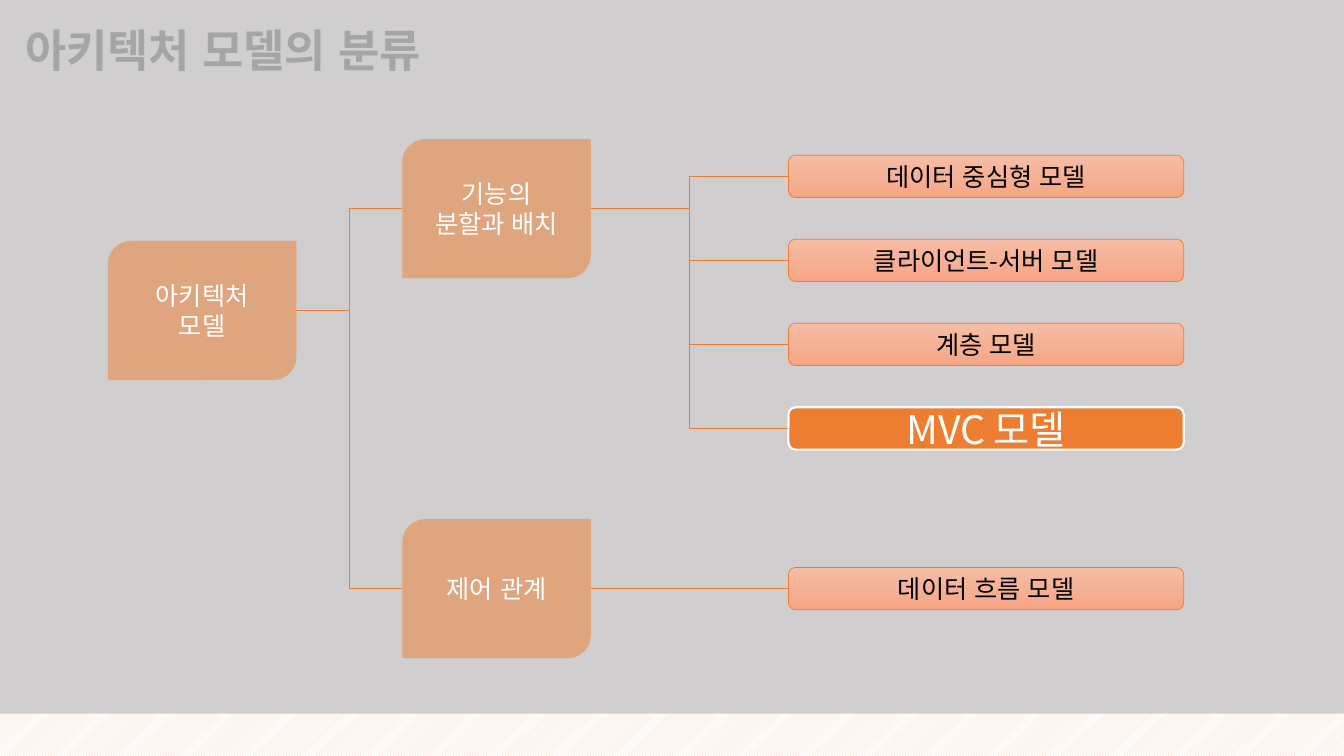
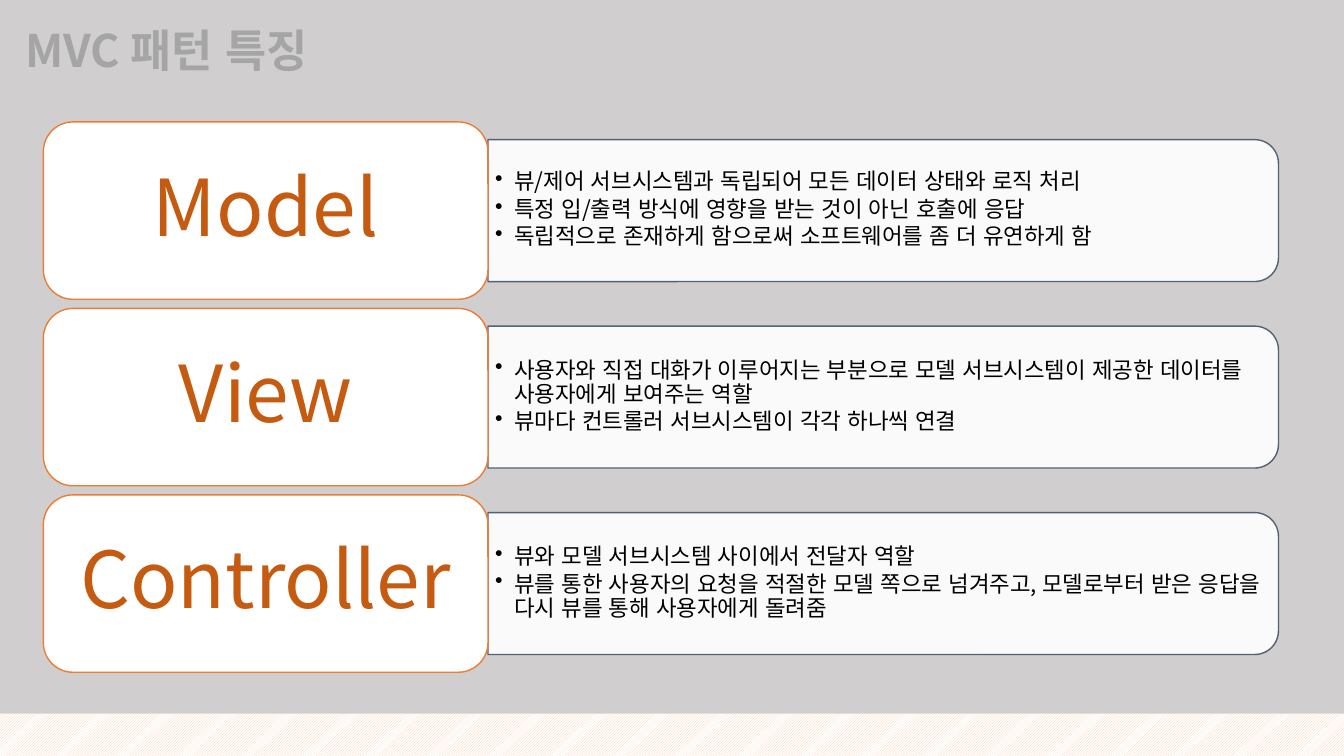
from copy import deepcopy
from dataclasses import dataclass

from lxml import etree
from pptx import Presentation
from pptx import util as u
from pptx.dml.color import RGBColor
from pptx.enum import dml, lang, shapes, text
from pptx.oxml import ns


@dataclass(frozen=True)
class Theme:
    """Colours, font and type sizes shared by the slides."""
    font: str = "Noto Sans CJK KR"
    backdrop: str = "D0CECE"
    stripe: str = "F8CBAD"
    white: str = "FFFFFF"
    black: str = "000000"
    title: str = "A5A5A5"
    accent: str = "ED7D31"
    accent_dark: str = "C55A11"
    panel_line: str = "44546A"
    leaf_stops: tuple = ((0, "F7BDA5"), (0.5, "F5B196"), (1, "F8A582"))
    title_size: float = 32
    node_size: float = 18
    focus_size: float = 28
    bullet_size: float = 16
    label_size: float = 56


@dataclass(frozen=True)
class Box:
    """A rectangle in inches."""
    left: float
    top: float
    width: float
    height: float

    @property
    def right(self):
        """Return the right edge."""
        return self.left + self.width

    @property
    def middle(self):
        """Return the vertical centre."""
        return self.top + self.height / 2

    def lengths(self):
        """Return the four measures as lengths."""
        return [u.Inches(n) for n in (self.left, self.top, self.width, self.height)]


THEME = Theme()
SLIDE = Box(0, 0, 13.33, 7.5)
SHAPE = shapes.MSO_SHAPE
CENTER = text.PP_ALIGN.CENTER


def child(parent, tag, **attributes):
    """Append a drawing element to its parent."""
    return etree.SubElement(parent, ns.qn(tag), attributes)


def paint(fill, color, opacity=100):
    """Apply a solid colour, optionally transparent."""
    fill.solid()
    fill.fore_color.rgb = RGBColor.from_string(color)
    if opacity < 100:
        solid = fill._xPr.find(ns.qn("a:solidFill"))
        child(solid[0], "a:alpha", val=str(opacity * 1000))


def write(frame, lines, size, color, bold=False, align=None, insets=(0.1, 0.05),
          anchor=text.MSO_ANCHOR.MIDDLE, spacing=None, after=None, bullet=None):
    """Fill a text frame with one paragraph per line."""
    frame.word_wrap = True
    frame.vertical_anchor = anchor
    frame.margin_left = frame.margin_right = u.Inches(insets[0])
    frame.margin_top = frame.margin_bottom = u.Inches(insets[1])
    for index, line in enumerate(lines):
        para = frame.add_paragraph() if index else frame.paragraphs[0]
        para.alignment = align
        if spacing:
            para.line_spacing = spacing
        if after:
            para.space_after = u.Pt(after)
        if bullet:
            para.level = 1
            layout = para._p.get_or_add_pPr()
            layout.set("marL", str(u.Inches(0.19)))
            layout.set("indent", str(u.Inches(-0.19)))
            child(layout, "a:buChar", char=bullet)
        span = para.add_run()
        span.text = line
        span.font.size = u.Pt(size)
        span.font.bold = bold
        span.font.name = THEME.font
        span.font.language_id = lang.MSO_LANGUAGE_ID.KOREAN
        span.font.color.rgb = RGBColor.from_string(color)
        child(span._r.get_or_add_rPr(), "a:ea", typeface=THEME.font)


def add_block(page, kind, box, fill=None, opacity=100, line=None, weight=1):
    """Add a flat preset shape."""
    shape = page.shapes.add_shape(kind, *box.lengths())
    shape.shadow.inherit = False
    if fill:
        paint(shape.fill, fill, opacity)
    if line:
        paint(shape.line.fill, line)
        shape.line.width = u.Pt(weight)
    else:
        shape.line.fill.background()
    return shape


def add_page(deck, title, title_width):
    """Add a slide with the shared background, striped band and title."""
    page = deck.slides.add_slide(deck.slide_layouts[6])
    paint(page.background.fill, THEME.backdrop)
    band = add_block(page, SHAPE.RECTANGLE, Box(0, 7.08, SLIDE.width, 0.42))
    band.fill.patterned()
    band.fill.pattern = dml.MSO_PATTERN.DARK_UPWARD_DIAGONAL
    band.fill.fore_color.rgb = RGBColor.from_string(THEME.stripe)
    band.fill.back_color.rgb = RGBColor.from_string(THEME.white)
    heading = page.shapes.add_textbox(*Box(0.15, 0.18, title_width, 0.64).lengths())
    write(heading.text_frame, [title], THEME.title_size, THEME.title, bold=True,
          anchor=text.MSO_ANCHOR.TOP)
    heading.text_frame.auto_size = text.MSO_AUTO_SIZE.SHAPE_TO_FIT_TEXT
    return page


def add_node(page, box, lines):
    """Add a translucent branch node."""
    node = add_block(page, SHAPE.ROUND_2_DIAG_RECTANGLE, box, THEME.accent, 50)
    write(node.text_frame, lines, THEME.node_size, THEME.white, align=CENTER)


def add_leaf(page, box, name, focus=False):
    """Add a model name, solid when in focus and shaded otherwise."""
    if focus:
        leaf = add_block(page, SHAPE.ROUNDED_RECTANGLE, box, THEME.accent,
                         line=THEME.white, weight=1.5)
        write(leaf.text_frame, [name], THEME.focus_size, THEME.white, align=CENTER)
        return
    leaf = add_block(page, SHAPE.ROUNDED_RECTANGLE, box, line=THEME.accent, weight=0.5)
    leaf.fill.gradient()
    leaf.fill.gradient_angle = 270
    stops = leaf._element.spPr.find(ns.qn("a:gradFill")).find(ns.qn("a:gsLst"))
    stops.insert(1, deepcopy(stops[0]))
    for stop, (position, color) in zip(leaf.fill.gradient_stops, THEME.leaf_stops):
        stop.position = position
        stop.color.rgb = RGBColor.from_string(color)
    write(leaf.text_frame, [name], THEME.node_size, THEME.black, align=CENTER)


def add_link(page, source, target):
    """Join the right side of one box to the left side of another."""
    level = abs(source.middle - target.middle) < 0.01
    kind = shapes.MSO_CONNECTOR.STRAIGHT if level else shapes.MSO_CONNECTOR.ELBOW
    ends = (source.right, source.middle, target.left, target.middle)
    link = page.shapes.add_connector(kind, *[u.Inches(n) for n in ends])
    paint(link.line.fill, THEME.accent)
    link.line.width = u.Pt(0.5)
    child(link._element.spPr, "a:effectLst")


def add_tree(page, area):
    """Draw the classification tree from left to right."""
    width, height = 1.87, 1.38
    leaf_width, leaf_height = 3.92, 0.42
    branch_left = area.left + 2.92
    leaf_left = area.right - leaf_width
    root = Box(area.left, area.top + 1.01, width, height)
    division = Box(branch_left, area.top, width, height)
    control = Box(branch_left, area.top + area.height - height, width, height)
    nodes = ((root, ["아키텍처", "모델"]),
             (division, ["기능의", "분할과 배치"]),
             (control, ["제어 관계"]))
    for box, lines in nodes:
        add_node(page, box, lines)
    for branch in (division, control):
        add_link(page, root, branch)

    names = ("데이터 중심형 모델", "클라이언트-서버 모델", "계층 모델", "MVC 모델")
    leaves = [(division, area.top + 0.16 + index * 2.5 / 3, name)
              for index, name in enumerate(names)]
    leaves.append((control, control.middle - leaf_height / 2, "데이터 흐름 모델"))
    for branch, top, name in leaves:
        box = Box(leaf_left, top, leaf_width, leaf_height)
        add_leaf(page, box, name, focus=name.startswith("MVC"))
        add_link(page, branch, box)


def add_feature(page, area, label, points):
    """Draw one labelled row with its bulleted panel."""
    label_box = Box(area.left, area.top, 4.41, area.height)
    length, depth = area.right - label_box.right, area.height * 0.8
    panel_box = Box(label_box.right + (length - depth) / 2,
                    area.middle - length / 2, depth, length)
    panel = add_block(page, SHAPE.ROUND_2_SAME_RECTANGLE, panel_box, THEME.white, 90)
    panel.rotation = 90
    paint(panel.line.fill, THEME.panel_line, 90)
    panel.line.width = u.Pt(1)
    points_box = Box(label_box.right, area.middle - 0.64, length - 0.06, 1.27)
    body = page.shapes.add_textbox(*points_box.lengths())
    write(body.text_frame, points, THEME.bullet_size, THEME.black,
          insets=(0.07, 0.03), spacing=0.9, after=2.4, bullet="•")
    card = add_block(page, SHAPE.ROUNDED_RECTANGLE, label_box, THEME.white,
                     line=THEME.accent)
    write(card.text_frame, [label], THEME.label_size, THEME.accent_dark, align=CENTER,
          insets=(0.23, 0.12), spacing=0.9, after=19.6)


def add_features(page, area, features):
    """Stack the feature rows evenly in the area."""
    gap = 0.09
    height = (area.height - gap * (len(features) - 1)) / len(features)
    for index, (label, points) in enumerate(features.items()):
        top = area.top + index * (height + gap)
        add_feature(page, Box(area.left, top, area.width, height), label, points)


FEATURES = {
    "Model": ["뷰/제어 서브시스템과 독립되어 모든 데이터 상태와 로직 처리",
              "특정 입/출력 방식에 영향을 받는 것이 아닌 호출에 응답",
              "독립적으로 존재하게 함으로써 소프트웨어를 좀 더 유연하게 함"],
    "View": ["사용자와 직접 대화가 이루어지는 부분으로 모델 서브시스템이 제공한 "
             "데이터를 사용자에게 보여주는 역할",
             "뷰마다 컨트롤러 서브시스템이 각각 하나씩 연결"],
    "Controller": ["뷰와 모델 서브시스템 사이에서 전달자 역할",
                   "뷰를 통한 사용자의 요청을 적절한 모델 쪽으로 넘겨주고, "
                   "모델로부터 받은 응답을 다시 뷰를 통해 사용자에게 돌려줌"],
}

deck = Presentation()
deck.slide_width = u.Inches(SLIDE.width)
deck.slide_height = u.Inches(SLIDE.height)
add_tree(add_page(deck, "아키텍처 모델의 분류", 4.6), Box(1.07, 1.38, 10.67, 5.15))
add_features(add_page(deck, "MVC 패턴 특징", 3.8), Box(0.43, 1.21, 12.25, 5.46), FEATURES)
deck.save("out.pptx")
